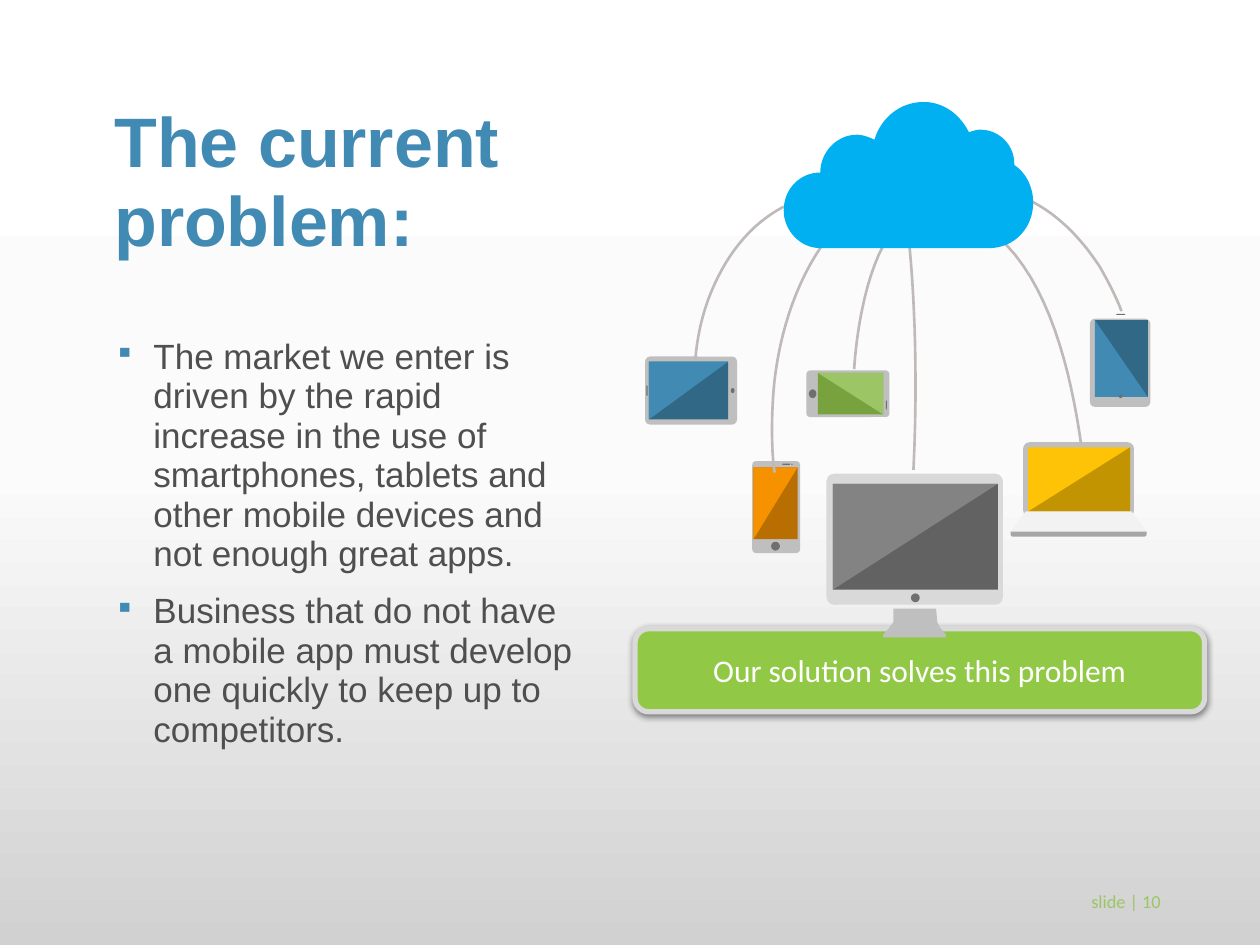
from lxml.etree import SubElement
from pptx import Presentation
from pptx.dml.color import RGBColor
from pptx.enum.shapes import MSO_SHAPE as SHAPE
from pptx.enum.text import MSO_ANCHOR as ANCHOR, PP_ALIGN as ALIGN
from pptx.oxml.ns import qn
from pptx.util import Inches, Pt

COLORS = {
    "title": "418AB3", "body": "4F4F4F", "footer": "9CC565", "white": "FFFFFF",
    "banner": "91C946", "pale": "D9D9D9", "frame": "BFBFBF", "detail": "6E6F71",
    "blue": "418AB3", "dark blue": "316886", "green": "9CC565", "dark green": "77A23D",
    "orange": "F69200", "dark orange": "B86E00", "yellow": "FEC306",
    "dark yellow": "C29401", "grey": "838383", "dark grey": "626262",
    "laptop base": "F2F2F2", "laptop foot": "A6A6A6", "cable": "BFB9B8", "cloud": "00B0F0",
}
BACKGROUND = [(0, "FFFFFF"), (50, "FBFBFB"), (100, "D1D1D1")]
BULLETS = [
    "The market we enter is driven by the rapid increase in the use of smartphones, "
    "tablets and other mobile devices and not enough great apps.",
    "Business that do not have a mobile app must develop one quickly to keep up to competitors.",
]

# Frame and screen are (left, top, width, height); the triangle lists screen corners.
# Columns: frame, radius, frame colour, screen, screen colour, triangle colour, corners
DEVICES = [
    ((5.12, 2.83, 0.73, 0.54), 0.04, "frame", (5.15, 2.87, 0.63, 0.46), "dark blue", "blue", "TR TL BL"),
    ((6.4, 2.94, 0.66, 0.37), 0.03, "frame", (6.49, 2.96, 0.52, 0.33), "dark green", "green", "BR TR TL"),
    ((8.65, 2.53, 0.48, 0.7), 0.04, "frame", (8.69, 2.54, 0.42, 0.61), "blue", "dark blue", "BR TR TL"),
    ((5.97, 3.66, 0.38, 0.73), 0.03, "frame", (5.98, 3.71, 0.35, 0.57), "dark orange", "orange", "TR TL BL"),
    ((8.12, 3.51, 0.88, 0.59), 0.05, "frame", (8.16, 3.55, 0.81, 0.51), "yellow", "dark yellow", "TR BR BL"),
    ((6.56, 3.76, 1.4, 1.04), 0.06, "pale", (6.61, 3.84, 1.31, 0.84), "dark grey", "grey", "TR TL BL"),
]
BUTTONS = [(5.8, 3.08, 0.03, 0.04), (6.42, 3.09, 0.06, 0.07), (8.88, 3.13, 0.03, 0.03),
           (6.12, 4.3, 0.07, 0.07), (7.23, 4.71, 0.07, 0.07), (7.03, 3.24, 0.01, 0.01),
           (6.28, 3.68, 0.01, 0.01)]
SPEAKERS = [(5.13, 3.06, 0.01, 0.08), (7.03, 3.18, 0.01, 0.06),
            (8.86, 2.49, 0.07, 0.01), (6.21, 3.68, 0.06, 0.01)]

LAPTOP_BASE = [(8.14, 4.06), (8.98, 4.06), (9.1, 4.22), (8.02, 4.22)]
MONITOR_STAND = [(7.09, 4.83), (7.43, 4.83), (7.44, 4.94), (7.46, 4.98), (7.51, 5.04),
                 (7.51, 5.06), (7.01, 5.06), (7.01, 5.04), (7.06, 4.98), (7.09, 4.94)]

# Curves: a start point, then (control, control, end) for each segment
CABLES = [
    ((5.52, 2.85), [((5.52, 2.85), (5.53, 2.63), (5.62, 2.38)), ((5.71, 2.14), (5.88, 1.82), (6.22, 1.64))]),
    ((6.15, 3.75), [((6.14, 3.74), (6.11, 3.46), (6.14, 3.09)), ((6.17, 2.75), (6.28, 2.26), (6.58, 1.87))]),
    ((6.78, 2.93), [((6.78, 2.92), (6.81, 2.33), (7.01, 1.95))]),
    ((7.25, 3.73), [((7.3, 2.71), (7.22, 1.98), (7.22, 1.97))]),
    ((8.58, 3.52), [((8.5, 2.96), (8.33, 2.23), (7.91, 1.87))]),
    ((8.9, 2.47), [((8.9, 2.46), (8.84, 2.31), (8.73, 2.12)), ((8.62, 1.95), (8.43, 1.71), (8.15, 1.58))]),
]
CLOUD = ((8.05, 1.31), [
    ((8.05, 1.31), (8.05, 1.31), (8.05, 1.3)), ((8.05, 1.15), (7.93, 1.03), (7.78, 1.03)),
    ((7.75, 1.03), (7.72, 1.04), (7.69, 1.05)), ((7.62, 0.91), (7.49, 0.81), (7.33, 0.81)),
    ((7.14, 0.81), (6.99, 0.94), (6.94, 1.11)), ((6.9, 1.09), (6.85, 1.07), (6.8, 1.07)),
    ((6.64, 1.07), (6.51, 1.21), (6.51, 1.37)), ((6.35, 1.37), (6.22, 1.5), (6.22, 1.67)),
    ((6.22, 1.83), (6.35, 1.97), (6.51, 1.97)), ((7.85, 1.97), (7.85, 1.97), (7.85, 1.97)),
    ((8.05, 1.97), (8.2, 1.81), (8.2, 1.61)), ((8.2, 1.48), (8.14, 1.37), (8.05, 1.31)),
])


def rgb(name):
    return RGBColor.from_string(COLORS[name])


def paint(shape, color):
    shape.shadow.inherit = False
    shape.fill.solid()
    shape.fill.fore_color.rgb = rgb(color)
    shape.line.fill.background()
    return shape


def add_preset(slide, kind, box, color, radius=None):
    shape = paint(slide.shapes.add_shape(kind, *map(Inches, box)), color)
    if radius is not None:
        shape.adjustments[0] = radius / min(box[2:])
    return shape


def add_outline(slide, points, close=True):
    start, *rest = [(Inches(x), Inches(y)) for x, y in points]
    builder = slide.shapes.build_freeform(*start)
    builder.add_line_segments(rest, close=close)
    return builder.convert_to_shape()


def curve_points(start, segments, steps=16):
    points = [start]
    for control_1, control_2, end in segments:
        corners = list(zip(points[-1], control_1, control_2, end))
        for step in range(1, steps + 1):
            t = step / steps
            u = 1 - t
            points.append(tuple(a * u**3 + 3 * b * u * u * t + 3 * c * u * t * t + d * t**3
                                for a, b, c, d in corners))
    return points


def add_run(paragraph, text, size, color, font, bold=False):
    run = paragraph.add_run()
    run.text = text
    run.font.size, run.font.name, run.font.bold = Pt(size), font, bold
    run.font.color.rgb = rgb(color)


def add_textbox(slide, box, anchor):
    frame = slide.shapes.add_textbox(*map(Inches, box)).text_frame
    frame.word_wrap = True
    frame.vertical_anchor = anchor
    return frame


def set_bullet(paragraph):
    props = paragraph._p.get_or_add_pPr()
    props.set("marL", str(Inches(0.31)))
    props.set("indent", str(-Inches(0.31)))
    SubElement(SubElement(props, qn("a:buClr")), qn("a:srgbClr"), val=COLORS["title"])
    SubElement(props, qn("a:buSzPct"), val="80000")
    SubElement(props, qn("a:buChar"), char="▪")


def set_background(slide):
    fill = slide.background.fill
    fill.gradient()
    fill.gradient_angle = 270
    stops = next(slide.element.iter(qn("a:gsLst")))
    stops[:] = []
    for percent, color in BACKGROUND:
        stop = SubElement(stops, qn("a:gs"), pos=str(percent * 1000))
        SubElement(stop, qn("a:srgbClr"), val=color)


def add_message(slide):
    frame = add_textbox(slide, (0.81, 0.78, 3.9, 4.31), ANCHOR.TOP)
    title = frame.paragraphs[0]
    title.line_spacing = 0.94
    add_run(title, "The current problem:", 40, "title", "Arial", bold=True)
    for text, gap in zip(BULLETS, (43, 10)):
        bullet = frame.add_paragraph()
        bullet.line_spacing = 0.94
        bullet.space_before = Pt(gap)
        set_bullet(bullet)
        add_run(bullet, text, 20, "body", "Arial")


def add_banner(slide):
    banner = add_preset(slide, SHAPE.ROUNDED_RECTANGLE, (5.04, 4.99, 4.52, 0.66), "banner", 0.11)
    banner.line.color.rgb = rgb("pale")
    banner.line.width = Pt(3)
    effects = banner._element.spPr.find(qn("a:effectLst"))
    shadow = SubElement(effects, qn("a:outerShdw"), blurRad=str(Pt(3.5)), dist=str(Pt(1.1)),
                        dir="5400000", rotWithShape="0")
    SubElement(SubElement(shadow, qn("a:srgbClr"), val="000000"), qn("a:alpha"), val="45000")
    banner.text_frame.vertical_anchor = ANCHOR.MIDDLE
    slogan = banner.text_frame.paragraphs[0]
    slogan.alignment = ALIGN.CENTER
    add_run(slogan, "Our solution solves this problem", 18, "white", "Calibri")


def add_device(slide, frame, radius, frame_color, screen, screen_color, triangle_color, corners):
    add_preset(slide, SHAPE.ROUNDED_RECTANGLE, frame, frame_color, radius)
    add_preset(slide, SHAPE.RECTANGLE, screen, screen_color)
    left, top, width, height = screen
    triangle = [(left + width * ("R" in corner), top + height * ("B" in corner))
                for corner in corners.split()]
    paint(add_outline(slide, triangle), triangle_color)


def add_cable(slide, start, segments):
    cable = add_outline(slide, curve_points(start, segments), close=False)
    cable.shadow.inherit = False
    cable.fill.background()
    cable.line.color.rgb = rgb("cable")
    cable.line.width = Pt(1.5)


def main():
    deck = Presentation()
    deck.slide_width, deck.slide_height = Inches(10), Inches(7.5)
    slide = deck.slides.add_slide(deck.slide_layouts[6])
    set_background(slide)

    # Text, footer and banner
    add_message(slide)
    footer = add_textbox(slide, (7.77, 6.95, 1.54, 0.4), ANCHOR.MIDDLE).paragraphs[0]
    footer.alignment = ALIGN.RIGHT
    add_run(footer, "slide | 10", 10.5, "footer", "Calibri")
    add_banner(slide)

    # Devices and their details
    paint(add_outline(slide, MONITOR_STAND), "frame")
    for device in DEVICES:
        add_device(slide, *device)
    for button in BUTTONS:
        add_preset(slide, SHAPE.OVAL, button, "detail")
    for speaker in SPEAKERS:
        add_preset(slide, SHAPE.RECTANGLE, speaker, "detail")
    paint(add_outline(slide, LAPTOP_BASE), "laptop base")
    foot = add_preset(slide, SHAPE.ROUND_2_SAME_RECTANGLE, (8.02, 4.22, 1.08, 0.04), "laptop foot", 0)
    foot.adjustments[1] = 0.5

    # Cloud and cables
    for cable in CABLES:
        add_cable(slide, *cable)
    paint(add_outline(slide, curve_points(*CLOUD)), "cloud")

    deck.save("out.pptx")


if __name__ == "__main__":
    main()
